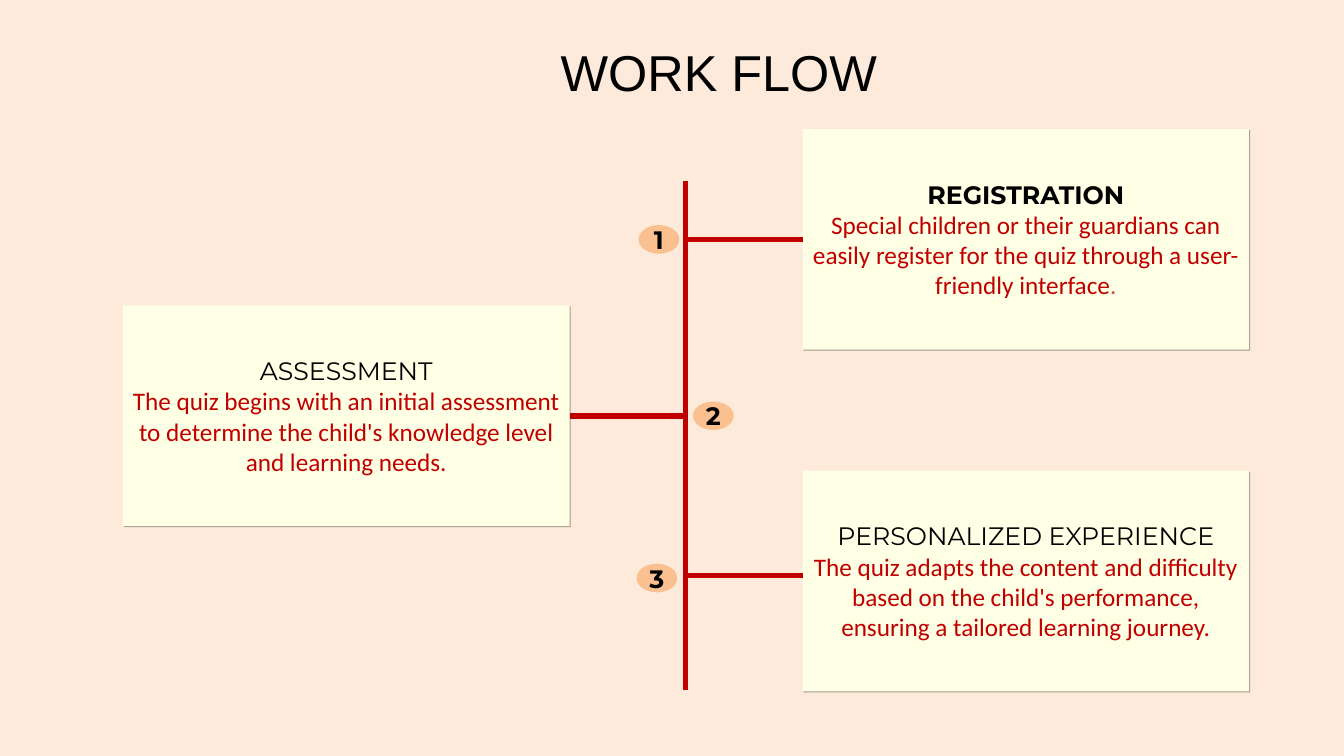
"""Build the work flow slide: a vertical spine with three numbered steps."""
import dataclasses

import lxml.etree
import pptx
import pptx.dml.color
import pptx.enum.shapes
import pptx.enum.text
import pptx.oxml.ns
import pptx.util

Inches = pptx.util.Inches
RED = "C00000"
BLACK = "000000"
ORANGE = "FAC090"
CREAM = "FFFFE5"
SPINE_X = 6.8
BOX_WIDTH, BOX_HEIGHT = 4.43, 2.19
BADGE_WIDTH, BADGE_HEIGHT = 0.39, 0.27


@dataclasses.dataclass
class Step:
    number: str
    heading: str
    body: str
    box_left: float
    box_top: float
    branch_y: float
    badge_left: float
    badge_top: float
    bold: bool = False
    ending: str = ""


STEPS = [
    Step("1", "REGISTRATION",
         "Special children or their guardians can easily register for the quiz "
         "through a user-friendly interface",
         7.96, 1.28, 2.38, 6.34, 2.24, bold=True, ending="."),
    Step("2", "ASSESSMENT",
         "The quiz begins with an initial assessment to determine the child's "
         "knowledge level and learning needs.",
         1.22, 3.03, 4.12, 6.88, 3.99),
    Step("3", "PERSONALIZED EXPERIENCE",
         "The quiz adapts the content and difficulty based on the child's "
         "performance, ensuring a tailored learning journey.",
         7.96, 4.67, 5.71, 6.32, 5.6),
]


def rgb(value: str) -> pptx.dml.color.RGBColor:
    return pptx.dml.color.RGBColor.from_string(value)


def format_run(run, font: str, size: float, color: str, bold: bool = False) -> None:
    run.font.name = font
    run.font.size = pptx.util.Pt(size)
    run.font.bold = bold
    run.font.color.rgb = rgb(color)


def add_effects(shape):
    properties = shape._element.spPr
    return lxml.etree.SubElement(properties, pptx.oxml.ns.qn("a:effectLst"))


def add_line(slide, start_x: float, start_y: float, end_x: float, end_y: float):
    line = slide.shapes.add_connector(
        pptx.enum.shapes.MSO_CONNECTOR.STRAIGHT,
        Inches(start_x), Inches(start_y), Inches(end_x), Inches(end_y))
    line.line.color.rgb = rgb(RED)
    line.line.width = pptx.util.Pt(4)
    add_effects(line)
    return line


def add_filled_shape(slide, kind, left: float, top: float, width: float,
                     height: float, color: str):
    shape = slide.shapes.add_shape(
        kind, Inches(left), Inches(top), Inches(width), Inches(height))
    shape.fill.solid()
    shape.fill.fore_color.rgb = rgb(color)
    shape.line.fill.background()
    shape.text_frame.word_wrap = True
    shape.text_frame.vertical_anchor = pptx.enum.text.MSO_ANCHOR.MIDDLE
    return shape


def add_edge_shadow(shape) -> None:
    shadow = lxml.etree.SubElement(
        add_effects(shape), pptx.oxml.ns.qn("a:outerShdw"),
        blurRad="0", dist="12700", dir="2700000", algn="tl", rotWithShape="0")
    color = lxml.etree.SubElement(shadow, pptx.oxml.ns.qn("a:srgbClr"), val=BLACK)
    lxml.etree.SubElement(color, pptx.oxml.ns.qn("a:alpha"), val="35000")


def add_box(slide, step: Step):
    box = add_filled_shape(slide, pptx.enum.shapes.MSO_SHAPE.RECTANGLE,
                           step.box_left, step.box_top, BOX_WIDTH, BOX_HEIGHT, CREAM)
    add_edge_shadow(box)
    box.text_frame.text = f"{step.heading}\n{step.body}"
    heading, body = box.text_frame.paragraphs
    for paragraph in (heading, body):
        paragraph.alignment = pptx.enum.text.PP_ALIGN.CENTER
    format_run(heading.runs[0], "Montserrat", 18, BLACK, step.bold)
    format_run(body.runs[0], "Calibri", 18, RED)
    if step.ending:
        ending = body.add_run()
        ending.text = step.ending
        format_run(ending, "Calibri", 18, "C0504D")
    return box


def add_branch(slide, step: Step, box) -> None:
    on_right = step.box_left > SPINE_X
    box_edge = step.box_left if on_right else step.box_left + BOX_WIDTH
    branch = add_line(slide, box_edge, step.branch_y, SPINE_X, step.branch_y)
    if abs(step.box_top + BOX_HEIGHT / 2 - step.branch_y) < 0.02:
        branch.begin_connect(box, 1 if on_right else 3)
        branch.end_y = branch.begin_y


def add_badge(slide, step: Step) -> None:
    badge = add_filled_shape(slide, pptx.enum.shapes.MSO_SHAPE.OVAL,
                             step.badge_left, step.badge_top,
                             BADGE_WIDTH, BADGE_HEIGHT, ORANGE)
    badge.shadow.inherit = False
    badge.line.color.rgb = rgb(ORANGE)
    badge.line.width = pptx.util.Pt(1)
    frame = badge.text_frame
    frame.margin_left = frame.margin_right = 0
    frame.margin_top = frame.margin_bottom = 0
    frame.text = step.number
    frame.paragraphs[0].alignment = pptx.enum.text.PP_ALIGN.CENTER
    format_run(frame.paragraphs[0].runs[0], "Montserrat", 18, BLACK, True)


def add_title(slide, text: str) -> None:
    title = slide.shapes.title
    title.left, title.top = Inches(4.36), Inches(0.35)
    title.width, title.height = Inches(5.54), Inches(0.71)
    frame = title.text_frame
    frame.text = text
    frame.vertical_anchor = pptx.enum.text.MSO_ANCHOR.MIDDLE
    frame.paragraphs[0].alignment = pptx.enum.text.PP_ALIGN.CENTER
    format_run(frame.paragraphs[0].runs[0], "Arial", 36, BLACK)


def main() -> None:
    presentation = pptx.Presentation()
    presentation.slide_width = Inches(13.33)
    presentation.slide_height = Inches(7.5)
    slide = presentation.slides.add_slide(presentation.slide_layouts[5])
    slide.background.fill.solid()
    slide.background.fill.fore_color.rgb = rgb("FDEADA")
    add_title(slide, "WORK FLOW")
    add_line(slide, SPINE_X, 1.8, SPINE_X, 6.85)
    for step in STEPS:
        box = add_box(slide, step)
        add_branch(slide, step, box)
        add_badge(slide, step)
    presentation.save("out.pptx")


if __name__ == "__main__":
    main()
